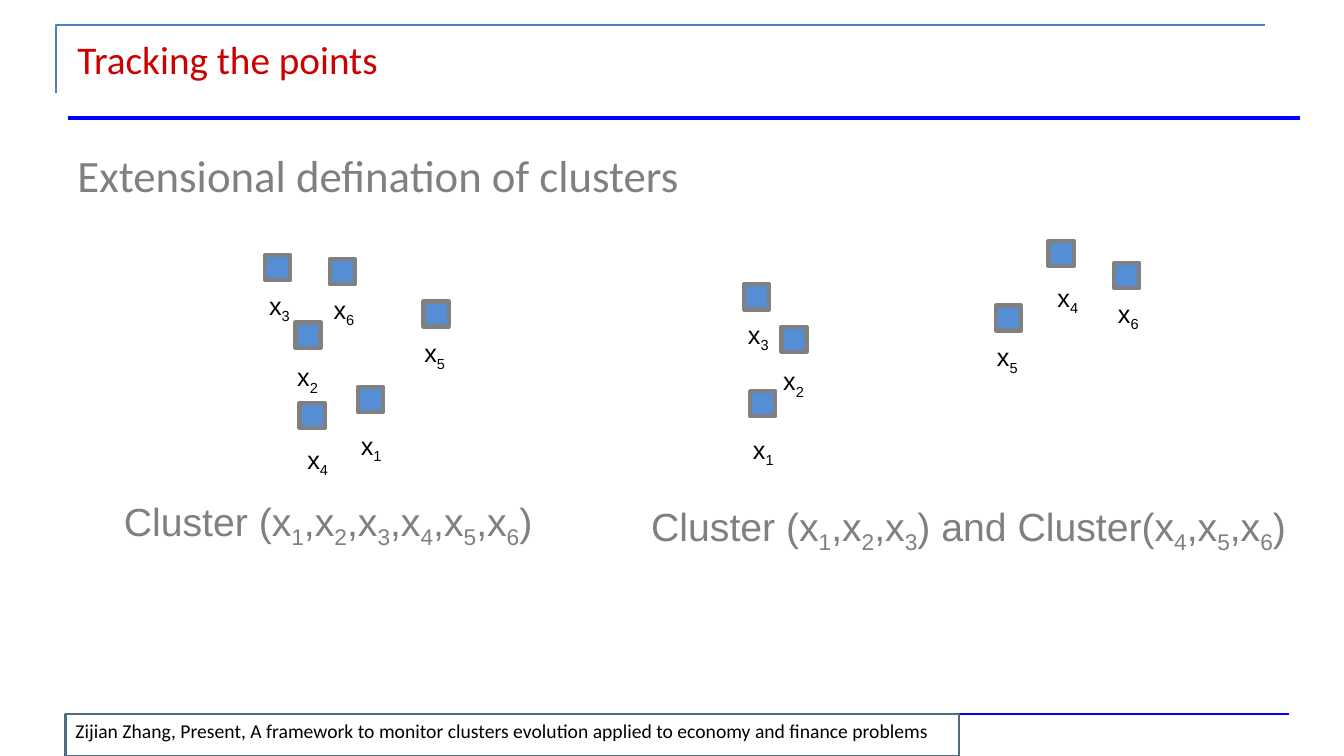
from lxml import etree
from pptx import Presentation
from pptx.dml.color import RGBColor
from pptx.enum.shapes import MSO_CONNECTOR, MSO_SHAPE
from pptx.enum.text import MSO_ANCHOR, PP_ALIGN
from pptx.oxml.ns import qn
from pptx.util import Inches, Pt

RECT = MSO_SHAPE.RECTANGLE
STRAIGHT = MSO_CONNECTOR.STRAIGHT
TOP = MSO_ANCHOR.TOP
LEFT = PP_ALIGN.LEFT

COLORS = {
    "frame": "4F81BD",
    "rule": "0000FF",
    "title": "CC0000",
    "gray": "808080",
    "point": "558ED5",
    "footer": "4C6D80",
    "black": "000000",
}
POINT_SIZE = 0.25
LABEL_WIDTH, LABEL_HEIGHT = 0.43, 0.44

# index: (left and top of the square, left and top of its label)
POINTS_BEFORE = {
    1: (3.55, 3.84, 3.48, 4.22),
    2: (2.93, 3.2, 2.85, 3.54),
    3: (2.63, 2.53, 2.57, 2.83),
    4: (2.97, 4, 2.95, 4.36),
    5: (4.2, 2.99, 4.11, 3.3),
    6: (3.27, 2.57, 3.21, 2.87),
}
POINTS_AFTER = {
    1: (7.44, 3.88, 7.37, 4.26),
    2: (7.75, 3.24, 7.67, 3.58),
    3: (7.38, 2.82, 7.32, 3.12),
    4: (10.4, 2.39, 10.39, 2.75),
    5: (9.88, 3.03, 9.79, 3.34),
    6: (11.05, 2.61, 10.99, 2.91),
}


def rgb(name):
    return RGBColor.from_string(COLORS[name])


def set_line(sp, color, width):
    sp.line.color.rgb = rgb(color)
    sp.line.width = Pt(width)


def write(sp, text, size, color, font):
    """Fill a shape with one paragraph; the digit after an underscore is a subscript."""
    tf = sp.text_frame
    tf.word_wrap = True
    tf.vertical_anchor = TOP
    p = tf.paragraphs[0]
    p.alignment = LEFT
    for i, part in enumerate(text.split("_")):
        pieces = [(part, False)] if i == 0 else [(part[0], True), (part[1:], False)]
        for piece, subscript in pieces:
            if not piece:
                continue
            r = p.add_run()
            r.text = piece
            r.font.size = Pt(size)
            r.font.name = font
            r.font.color.rgb = rgb(color)
            if subscript:
                r.font._element.set("baseline", "-25000")


def add_text(s, box, text, size, color, font="Arial"):
    sp = s.shapes.add_textbox(*map(Inches, box))
    write(sp, text, size, color, font)


def add_rect(s, box, line, width, fill=None):
    sp = s.shapes.add_shape(RECT, *map(Inches, box))
    sp.shadow.inherit = False
    set_line(sp, line, width)
    if fill:
        sp.fill.solid()
        sp.fill.fore_color.rgb = rgb(fill)
    else:
        sp.fill.background()
    return sp


def add_rule(s, left, right, y, width):
    line = s.shapes.add_connector(STRAIGHT, Inches(left), Inches(y), Inches(right), Inches(y))
    set_line(line, "rule", width)
    etree.SubElement(line._element.spPr, qn("a:effectLst"))


def add_title_frame(s):
    fb = s.shapes.build_freeform(Inches(0.56), Inches(0.92))
    corners = [(0.56, 0.25), (12.55, 0.25)]
    fb.add_line_segments([(Inches(x), Inches(y)) for x, y in corners], close=False)
    sp = fb.convert_to_shape()
    sp.shadow.inherit = False
    sp.fill.background()
    set_line(sp, "frame", 1.5)


def add_points(s, points):
    for i, (x, y, label_x, label_y) in points.items():
        add_rect(s, (x, y, POINT_SIZE, POINT_SIZE), "gray", 3, "point")
        add_text(s, (label_x, label_y, LABEL_WIDTH, LABEL_HEIGHT), f"x_{i}", 18, "black")


def main():
    prs = Presentation()
    prs.slide_width = Inches(13.33)
    prs.slide_height = Inches(7.5)
    s = prs.slides.add_slide(prs.slide_layouts[6])

    add_title_frame(s)
    add_rule(s, 0.67, 12.89, 1.17, 3)
    add_rule(s, 0.67, 12.78, 7.08, 1.5)
    add_text(s, (0.67, 0.3, 12, 0.95), "Tracking the points", 28, "title", "Calibri")
    add_text(s, (0.67, 1.42, 12, 5.58), "Extensional defination of clusters", 32, "gray", "Calibri")
    footer = add_rect(s, (0.65, 7.08, 8.86, 0.42), "footer", 1.5)
    write(footer, "Zijian Zhang, Present, A framework to monitor clusters evolution "
          "applied to economy and finance problems", 14, "black", "Calibri")

    add_points(s, POINTS_BEFORE)
    add_text(s, (1.13, 4.88, 6.65, 0.63), "Cluster (x_1,x_2,x_3,x_4,x_5,x_6)", 28, "gray")
    add_points(s, POINTS_AFTER)
    add_text(s, (6.36, 4.93, 6.65, 0.63),
             "Cluster (x_1,x_2,x_3) and Cluster(x_4,x_5,x_6)", 28, "gray")

    prs.save("out.pptx")


if __name__ == "__main__":
    main()
